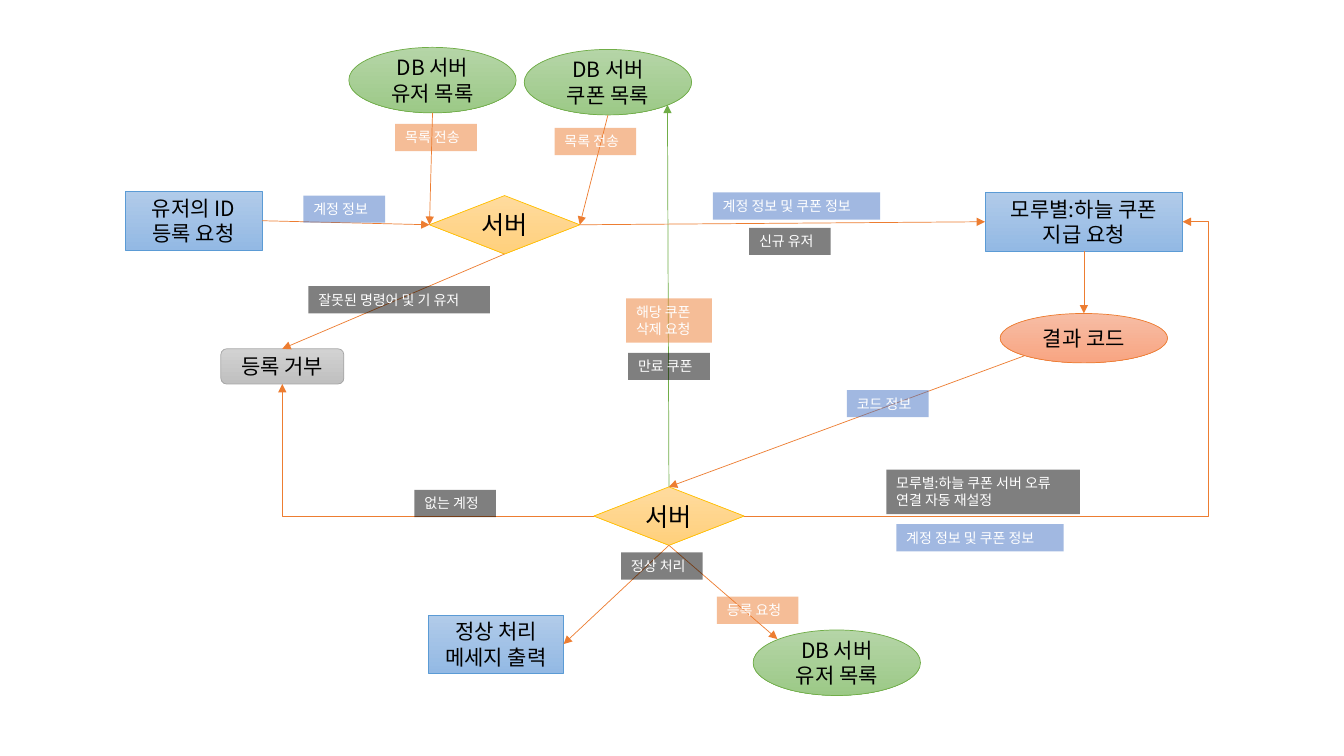
from dataclasses import dataclass

from lxml.etree import SubElement
from pptx import Presentation
from pptx.dml.color import RGBColor
from pptx.enum.shapes import MSO_CONNECTOR, MSO_SHAPE
from pptx.enum.text import MSO_ANCHOR, PP_ALIGN
from pptx.oxml.ns import qn
from pptx.util import Emu, Pt

RECT = MSO_SHAPE.RECTANGLE
ROUND = MSO_SHAPE.ROUNDED_RECTANGLE
OVAL = MSO_SHAPE.OVAL
DIAMOND = MSO_SHAPE.DIAMOND
STRAIGHT = MSO_CONNECTOR.STRAIGHT
ELBOW = MSO_CONNECTOR.ELBOW
MIDDLE = MSO_ANCHOR.MIDDLE
TOP_EDGE = MSO_ANCHOR.TOP
CENTER = PP_ALIGN.CENTER
LEFT_EDGE = PP_ALIGN.LEFT
TOP, LEFT, BOTTOM, RIGHT = range(4)
SCALE = 9144


@dataclass(frozen=True)
class Tone:
    light: str
    dark: str
    edge: str


@dataclass(frozen=True)
class Theme:
    font: str = "Noto Sans CJK KR"
    ink: str = "000000"
    white: str = "FFFFFF"
    gray: str = "000000"
    orange: str = "ED7D31"
    navy: str = "4472C4"
    green: str = "70AD47"
    step: Tone = Tone("B1CBE9", "93B9E4", "5B9BD5")
    server: Tone = Tone("FFDB9E", "FFD07C", "FFC000")
    store: Tone = Tone("B5D5A7", "9CC987", "70AD47")
    code: Tone = Tone("F7BDA5", "F8A582", "ED7D31")
    deny: Tone = Tone("D2D2D2", "C0C0C0", "A5A5A5")
    big: int = 18
    mid: int = 15
    small: int = 10
    line: float = 0.5
    alpha: int = 50000


@dataclass(frozen=True)
class Node:
    text: str
    form: MSO_SHAPE
    tone: Tone
    x: int
    y: int
    w: int
    h: int
    size: int = 15


@dataclass(frozen=True)
class Tag:
    text: str
    color: str
    x: int
    y: int
    w: int = 81
    h: int = 27


@dataclass(frozen=True)
class Spot:
    node: str
    side: int


@dataclass(frozen=True)
class Point:
    x: int
    y: int


@dataclass(frozen=True)
class Link:
    start: Spot | Point
    end: Spot | Point
    color: str
    bend: str = ""
    shift: int = 0


THEME = Theme()

NODES = {
    "ask": Node("유저의 ID 등록 요청", RECT, THEME.step, 124, 190, 136, 58),
    "check": Node("서버", DIAMOND, THEME.server, 426, 194, 149, 58, THEME.big),
    "grant": Node("모루별:하늘 쿠폰\n지급 요청", RECT, THEME.step, 977, 191, 196, 58),
    "users": Node("DB 서버\n유저 목록", OVAL, THEME.store, 346, 47, 166, 65),
    "route": Node("서버", DIAMOND, THEME.server, 589, 483, 149, 58, THEME.big),
    "deny": Node("등록 거부", ROUND, THEME.deny, 219, 346, 122, 35),
    "save": Node("DB 서버\n유저 목록", OVAL, THEME.store, 747, 625, 166, 65),
    "done": Node("정상 처리\n메세지 출력", RECT, THEME.step, 425, 610, 134, 58),
    "coupons": Node("DB 서버\n쿠폰 목록", OVAL, THEME.store, 520, 49, 166, 65),
    "code": Node("결과 코드", OVAL, THEME.code, 992, 311, 166, 49),
}

LINKS = [
    Link(Spot("route", TOP), Point(662, 104), THEME.green),
    Link(Spot("ask", RIGHT), Spot("check", LEFT), THEME.orange),
    Link(Spot("check", RIGHT), Spot("grant", LEFT), THEME.orange),
    Link(Spot("users", BOTTOM), Spot("check", LEFT), THEME.orange),
    Link(Point(1016, 353), Spot("route", TOP), THEME.orange),
    Link(Spot("grant", BOTTOM), Spot("code", TOP), THEME.orange),
    Link(Spot("check", BOTTOM), Spot("deny", TOP), THEME.orange),
    Link(Spot("route", RIGHT), Spot("grant", RIGHT), THEME.orange, "bentConnector3", 105800),
    Link(Spot("route", LEFT), Spot("deny", BOTTOM), THEME.orange, "bentConnector2"),
    Link(Spot("route", BOTTOM), Spot("done", RIGHT), THEME.orange),
    Link(Spot("route", BOTTOM), Point(771, 634), THEME.orange),
    Link(Spot("coupons", BOTTOM), Spot("check", RIGHT), THEME.orange),
]

TAGS = [
    Tag("신규 유저", THEME.gray, 743, 226),
    Tag("잘못된 명령어 및 기 유저", THEME.gray, 306, 284, 180),
    Tag("모루별:하늘 쿠폰 서버 오류\n연결 자동 재설정", THEME.gray, 879, 466, 192, 44),
    Tag("없는 계정", THEME.gray, 411, 486),
    Tag("정상 처리", THEME.gray, 616, 548),
    Tag("등록 요청", THEME.orange, 711, 592),
    Tag("목록 전송", THEME.orange, 392, 123),
    Tag("해당 쿠폰 삭제 요청", THEME.orange, 621, 296, 85, 44),
    Tag("만료 쿠폰", THEME.gray, 623, 350),
    Tag("계정 정보", THEME.navy, 301, 194),
    Tag("계정 정보 및 쿠폰 정보", THEME.navy, 707, 191, 166),
    Tag("목록 전송", THEME.orange, 550, 127),
    Tag("계정 정보 및 쿠폰 정보", THEME.navy, 889, 520, 166),
    Tag("코드 정보", THEME.navy, 840, 387),
]


def px(*marks: int) -> list[Emu]:
    return [Emu(mark * SCALE) for mark in marks]


def rgb(color: str) -> RGBColor:
    return RGBColor.from_string(color)


def write(shape, text: str, size: int, color: str, align: PP_ALIGN, anchor: MSO_ANCHOR) -> None:
    frame = shape.text_frame
    frame.word_wrap = True
    frame.vertical_anchor = anchor
    for i, line in enumerate(text.split("\n")):
        para = frame.add_paragraph() if i else frame.paragraphs[0]
        para.alignment = align
        run = para.add_run()
        run.text = line
        run.font.size = Pt(size)
        run.font.name = THEME.font
        run.font.color.rgb = rgb(color)
    for props in shape.element.iter(qn("a:rPr")):
        SubElement(props, qn("a:ea"), typeface=THEME.font)


def draw_node(shapes, node: Node):
    shape = shapes.add_shape(node.form, *px(node.x, node.y, node.w, node.h))
    shape.shadow.inherit = False
    shape.fill.gradient()
    shape.fill.gradient_angle = 270
    for stop, color in zip(shape.fill.gradient_stops, (node.tone.light, node.tone.dark)):
        stop.color.rgb = rgb(color)
    shape.line.color.rgb = rgb(node.tone.edge)
    shape.line.width = Pt(THEME.line)
    write(shape, node.text, node.size, THEME.ink, CENTER, MIDDLE)
    return shape


def locate(spot: Spot | Point) -> list[Emu]:
    if isinstance(spot, Point):
        return px(spot.x, spot.y)
    node = NODES[spot.node]
    mid_x, mid_y = node.x + node.w // 2, node.y + node.h // 2
    sides = ((mid_x, node.y), (node.x, mid_y), (mid_x, node.y + node.h), (node.x + node.w, mid_y))
    return px(*sides[spot.side])


def draw_link(shapes, link: Link, drawn: dict) -> None:
    kind = ELBOW if link.bend else STRAIGHT
    wire = shapes.add_connector(kind, *locate(link.start), *locate(link.end))
    wire.line.color.rgb = rgb(link.color)
    wire.line.width = Pt(THEME.line)
    props = wire.element.spPr
    SubElement(props.find(qn("a:ln")), qn("a:tailEnd"), type="triangle")
    SubElement(props, qn("a:effectLst"))
    if link.bend:
        shape = props.find(qn("a:prstGeom"))
        shape.set("prst", link.bend)
        if link.shift:
            SubElement(shape.find(qn("a:avLst")), qn("a:gd"), name="adj1", fmla=f"val {link.shift}")
        return
    for spot, join in ((link.start, wire.begin_connect), (link.end, wire.end_connect)):
        if isinstance(spot, Spot) and NODES[spot.node].form != OVAL:
            join(drawn[spot.node], spot.side)


def draw_tag(shapes, tag: Tag) -> None:
    box = shapes.add_textbox(*px(tag.x, tag.y, tag.w, tag.h))
    box.fill.solid()
    box.fill.fore_color.rgb = rgb(tag.color)
    shade = box.element.spPr.find(qn("a:solidFill")).find(qn("a:srgbClr"))
    SubElement(shade, qn("a:alpha"), val=str(THEME.alpha))
    write(box, tag.text, THEME.small, THEME.white, LEFT_EDGE, TOP_EDGE)


def main() -> None:
    deck = Presentation()
    deck.slide_width, deck.slide_height = px(1333, 750)
    shapes = deck.slides.add_slide(deck.slide_layouts[6]).shapes
    drawn = {name: draw_node(shapes, node) for name, node in NODES.items()}
    for link in LINKS:
        draw_link(shapes, link, drawn)
    for tag in TAGS:
        draw_tag(shapes, tag)
    deck.save("out.pptx")


if __name__ == "__main__":
    main()
